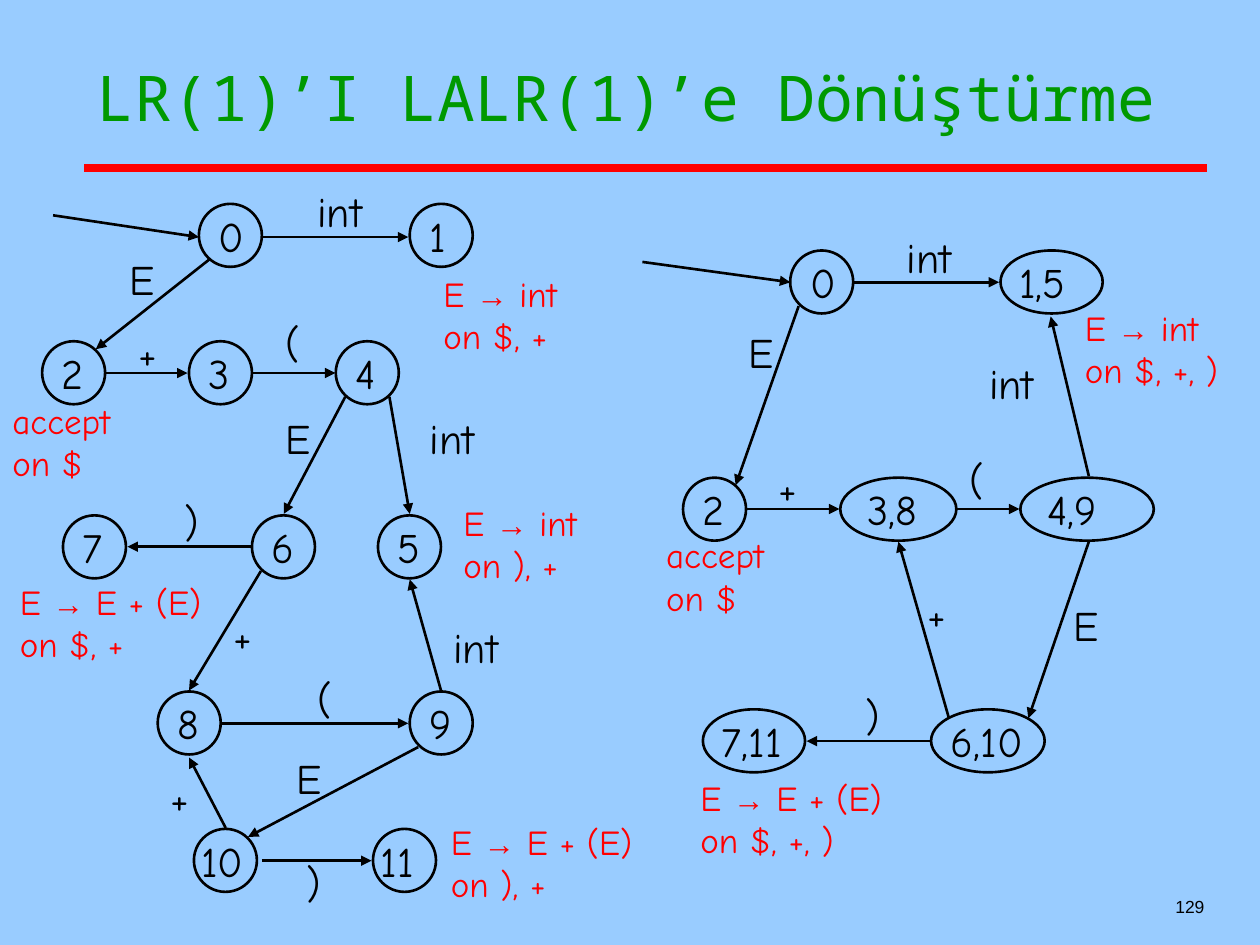
"""Build a slide that turns an LR(1) automaton into an LALR(1) automaton."""
import pptx
import pptx.dml.color
import pptx.enum.shapes
import pptx.enum.text
import pptx.oxml.ns
import pptx.util
import lxml.etree

Cm = pptx.util.Cm
Pt = pptx.util.Pt
BLACK = pptx.dml.color.RGBColor(0x00, 0x00, 0x00)
RED = pptx.dml.color.RGBColor(0xFF, 0x00, 0x00)
GREEN = pptx.dml.color.RGBColor(0x00, 0x99, 0x00)
SKY = pptx.dml.color.RGBColor(0x99, 0xCC, 0xFF)
HAND_FONT = "Comic Neue"
HEIGHT = 1.27


def add_text(shapes, lines, left, top, width, height, size, color, wrap=False, font=HAND_FONT):
    box = shapes.add_textbox(Cm(left), Cm(top), Cm(width), Cm(height))
    frame = box.text_frame
    frame.word_wrap = wrap
    frame.auto_size = pptx.enum.text.MSO_AUTO_SIZE.SHAPE_TO_FIT_TEXT
    frame.text = lines
    for paragraph in frame.paragraphs:
        before, arrow, after = paragraph.text.partition("→")
        if arrow:
            paragraph.text = before
            paragraph.add_run().text = arrow
            paragraph.add_run().text = after
        for run in paragraph.runs:
            is_arrow = run.text == "→"
            run.font.name = "Arial" if is_arrow else font
            run.font.size = Pt(18 if is_arrow else size)
            run.font.color.rgb = color
    return box


def add_line(shapes, start_x, start_y, end_x, end_y, color, width):
    line = shapes.add_connector(
        pptx.enum.shapes.MSO_CONNECTOR.STRAIGHT, Cm(start_x), Cm(start_y), Cm(end_x), Cm(end_y))
    line.line.color.rgb = color
    line.line.width = Pt(width)
    properties = line._element.spPr
    lxml.etree.SubElement(properties, pptx.oxml.ns.qn("a:effectLst"))
    return line


presentation = pptx.Presentation()
presentation.slide_width = Cm(25.4)
presentation.slide_height = Cm(19.05)
slide = presentation.slides.add_slide(presentation.slide_layouts[5])
slide.background.fill.solid()
slide.background.fill.fore_color.rgb = SKY

title = slide.shapes.title
title.left, title.top, title.width, title.height = Cm(1.7), Cm(1.06), Cm(22.65), Cm(3.18)
title.text_frame.text = "LR(1)’I LALR(1)’e Dönüştürme"
title.text_frame.auto_size = pptx.enum.text.MSO_AUTO_SIZE.NONE
title.text_frame.vertical_anchor = pptx.enum.text.MSO_ANCHOR.TOP
title_paragraph = title.text_frame.paragraphs[0]
title_paragraph.alignment = pptx.enum.text.PP_ALIGN.LEFT
title_font = title_paragraph.runs[0].font
title_font.name = "Noto Sans Mono"
title_font.size = Pt(36)
title_font.color.rgb = GREEN

add_line(slide.shapes, 1.7, 3.38, 24.34, 3.38, RED, 4.5)

number = add_text(slide.shapes, "129", 19.25, 17.35, 5.28, HEIGHT, 10, BLACK, True, "Arial")
number.text_frame.auto_size = pptx.enum.text.MSO_AUTO_SIZE.NONE
number.text_frame.vertical_anchor = pptx.enum.text.MSO_ANCHOR.BOTTOM
number.text_frame.paragraphs[0].alignment = pptx.enum.text.PP_ALIGN.RIGHT

arrows = [
    (1.07, 4.34, 4.01, 4.78),
    (5.31, 4.78, 8.23, 4.78),
    (4.22, 5.23, 1.93, 7.04),
    (2.13, 7.52, 3.78, 7.52),
    (5.11, 7.52, 6.76, 7.52),
    (6.96, 8, 5.72, 10.36),
    (7.85, 8, 8.26, 10.36),
    (5.05, 11.02, 2.57, 11.02),
    (5.26, 11.51, 3.81, 13.92),
    (4.47, 14.58, 8.23, 14.58),
    (8.89, 13.92, 8.26, 11.68),
    (8.43, 15.06, 5, 16.87),
    (4.55, 16.69, 3.81, 15.27),
    (5.28, 17.35, 7.49, 17.35),
    (12.95, 5.28, 15.93, 5.69),
    (17.22, 5.69, 20.14, 5.69),
    (16.1, 6.17, 14.83, 9.78),
    (15.06, 10.26, 16.92, 10.26),
    (19.28, 10.26, 20.55, 10.26),
    (21.95, 9.6, 21.18, 6.38),
    (21.95, 10.92, 20.73, 14.48),
    (19.13, 14.48, 18.11, 10.92),
    (18.75, 14.94, 16.26, 14.94),
]
for arrow_ends in arrows:
    arrow = add_line(slide.shapes, *arrow_ends, BLACK, 1.5)
    outline = arrow.line._get_or_add_ln()
    lxml.etree.SubElement(outline, pptx.oxml.ns.qn("a:tailEnd"), type="triangle")

states = [
    ("0", 4.01, 4.11, 1.27, 0.15, 0.84),
    ("1", 8.26, 4.11, 1.27, 0.15, 0.84),
    ("2", 0.85, 6.88, 1.27, 0.15, 0.84),
    ("3", 3.81, 6.88, 1.27, 0.15, 0.84),
    ("4", 6.77, 6.88, 1.27, 0.15, 0.84),
    ("5", 7.62, 10.39, 1.27, 0.15, 0.84),
    ("6", 5.08, 10.39, 1.27, 0.15, 0.84),
    ("7", 1.27, 10.39, 1.27, 0.15, 0.84),
    ("8", 3.18, 13.94, 1.27, 0.15, 0.84),
    ("9", 8.26, 13.94, 1.27, 0.15, 0.84),
    ("10", 3.91, 16.71, 1.27, -0.1, 1.47),
    ("11", 7.52, 16.71, 1.27, -0.1, 1.47),
    ("0", 15.93, 5.05, 1.27, 0.15, 0.84),
    ("1,5", 20.17, 5.05, 2.06, 0.13, 1.73),
    ("2", 13.77, 9.63, 1.27, 0.15, 0.84),
    ("3,8", 16.94, 9.63, 2.34, 0.3, 1.83),
    ("4,9", 20.57, 9.63, 2.69, 0.3, 1.8),
    ("6,10", 18.77, 14.3, 2.29, 0.15, 2.46),
    ("7,11", 14.17, 14.3, 2.06, 0.13, 2.11),
]
for name, left, top, width, text_offset, text_width in states:
    state = slide.shapes.add_group_shape()
    add_text(state.shapes, name, left + text_offset, top, text_width, HEIGHT, 24, BLACK, True)
    ellipse = state.shapes.add_shape(
        pptx.enum.shapes.MSO_SHAPE.OVAL, Cm(left), Cm(top), Cm(width), Cm(HEIGHT))
    ellipse.shadow.inherit = False
    ellipse.fill.background()
    ellipse.line.color.rgb = BLACK
    ellipse.line.width = Pt(1.5)

symbols = {
    "int": (1.6, [(6.15, 3.61), (8.41, 8.2), (8.89, 12.4), (18.03, 4.55), (19.69, 7.09)]),
    "E": (1.04, [(2.36, 4.98), (5.51, 8.2), (5.72, 15.04), (14.83, 6.45), (21.39, 11.96)]),
    "+": (0.91, [(2.54, 6.48), (4.45, 12.19), (3.18, 15.44), (15.44, 9.19), (18.44, 11.73)]),
    "(": (0.81, [(5.51, 6.25), (6.15, 13.44), (19.3, 9.02)]),
    ")": (0.81, [(3.48, 9.86), (5.92, 17.15), (17.2, 13.77)]),
}
for symbol, (width, places) in symbols.items():
    for left, top in places:
        add_text(slide.shapes, symbol, left, top, width, HEIGHT, 24, BLACK)

actions = [
    ("E → int\non $, +", 8.69, 5.36, 3.12),
    ("accept\non $", 0, 7.92, 2.9),
    ("E → int\non ), +", 9.09, 9.98, 2.9),
    ("E → E + (E)\non $, +", 0.15, 11.58, 4.17),
    ("E → E + (E)\non ), +", 8.84, 16.41, 4.17),
    ("E → int\non $, +, )", 21.62, 6.05, 3.35),
    ("accept\non $", 13.18, 10.64, 2.9),
    ("E → E + (E)\non $, +, )", 13.87, 15.52, 4.17),
]
for lines, left, top, width in actions:
    add_text(slide.shapes, lines, left, top, width, 1.96, 20, RED)

presentation.save("out.pptx")
